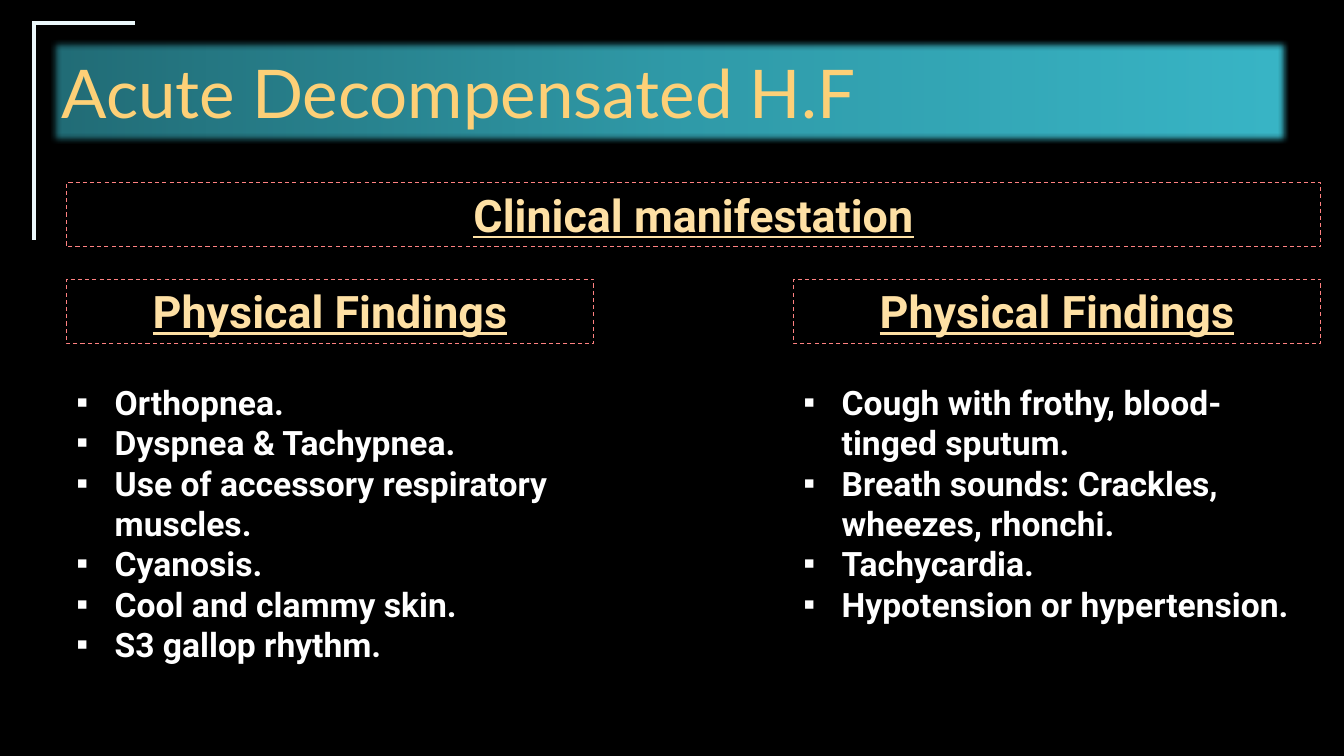
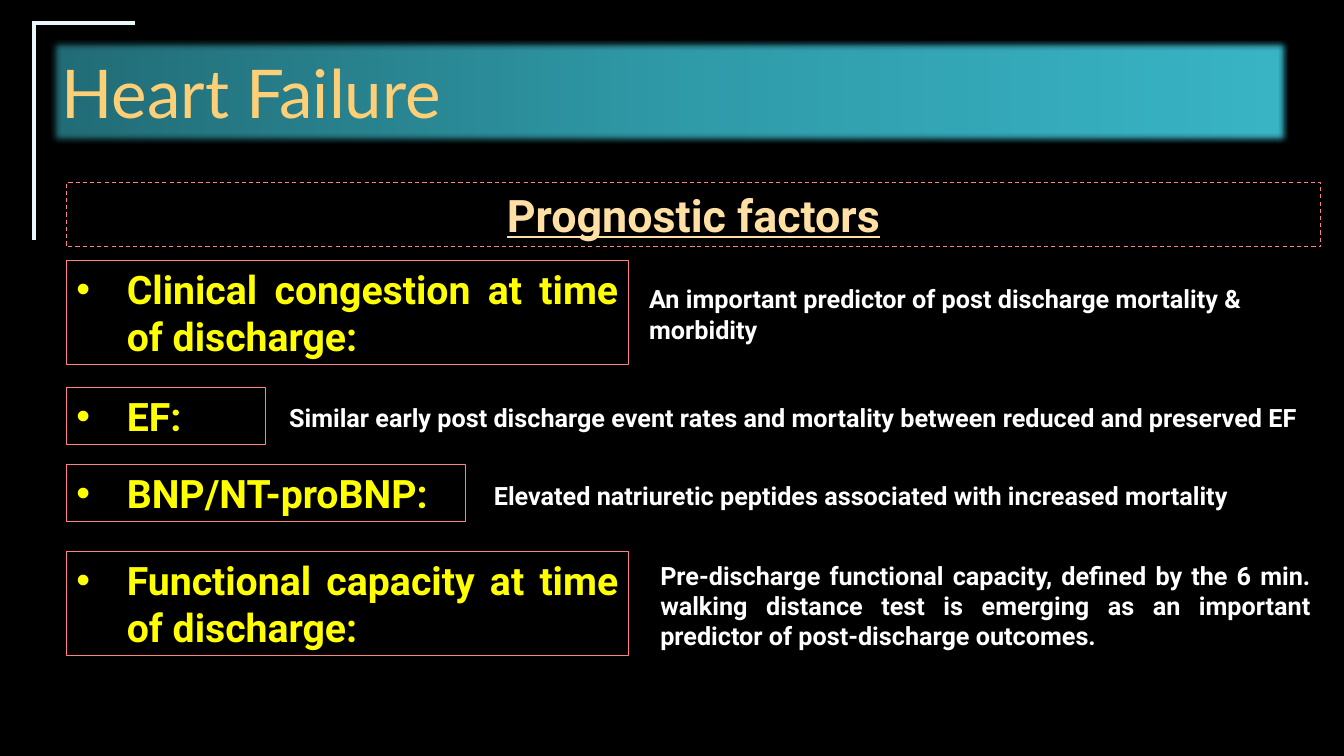
from copy import deepcopy
from dataclasses import dataclass

from pptx import Presentation
from pptx.dml.color import RGBColor
from pptx.enum.dml import MSO_LINE
from pptx.enum.shapes import MSO_CONNECTOR, MSO_SHAPE
from pptx.enum.text import MSO_ANCHOR, MSO_AUTO_SIZE, PP_ALIGN
from pptx.oxml.ns import qn
from pptx.util import Inches, Pt
from lxml import etree

RECT, STRAIGHT = MSO_SHAPE.RECTANGLE, MSO_CONNECTOR.STRAIGHT
LEFT, CENTER, JUSTIFY = PP_ALIGN.LEFT, PP_ALIGN.CENTER, PP_ALIGN.JUSTIFY
TOP, MIDDLE = MSO_ANCHOR.TOP, MSO_ANCHOR.MIDDLE
DASH, SOLID = MSO_LINE.DASH, MSO_LINE.SOLID


@dataclass(frozen=True)
class TextStyle:
    size: int
    color: str
    font: str = "Roboto"
    bold: bool = True
    underline: bool = False


@dataclass(frozen=True)
class Theme:
    background: str = "000000"
    corner: str = "EAF7FA"
    frame: str = "FF8181"
    band: tuple = ((0, "216B75"), (0.5, "2F99A7"), (1, "38B5C6"))
    band_line: str = "30818C"
    soft_edge: float = 5
    title: TextStyle = TextStyle(48, "FDD077", "Lato", False)
    heading: TextStyle = TextStyle(32, "FEE0A4", underline=True)
    label: TextStyle = TextStyle(28, "FFFF00")
    body: TextStyle = TextStyle(24, "FFFFFF")
    note: TextStyle = TextStyle(18, "FFFFFF")


THEME = Theme()

# Shared layout, in inches
SLIDE_W, SLIDE_H = 13.33, 7.5
MARGIN, RIGHT = 0.66, 13.1
CONTENT_W = RIGHT - MARGIN
COLUMN_W = 5.23
HEADING_H = 0.64
PAD = 0.1           # top and bottom insets together
LINE_SPACING = 1.2  # line height as a share of the type size
NOTE_DROP = 0.02    # notes sit slightly below the middle of their label


def rgb(value):
    return RGBColor.from_string(value)


def lines_height(count, style):
    return count * style.size * LINE_SPACING / 72 + PAD


def set_bullet(p, char, indent):
    pPr = p._p.get_or_add_pPr()
    pPr.set("marL", str(Inches(indent)))
    pPr.set("indent", str(Inches(-indent)))
    etree.SubElement(pPr, qn("a:buFont")).set("typeface", "Arial")
    etree.SubElement(pPr, qn("a:buChar")).set("char", char)


def write(tf, lines, style, align=LEFT, anchor=TOP, bullet=None):
    """Fill a text frame; bullet is a (character, indent) pair."""
    tf.word_wrap = True
    tf.auto_size = MSO_AUTO_SIZE.NONE
    tf.vertical_anchor = anchor
    for i, line in enumerate(lines):
        p = tf.add_paragraph() if i else tf.paragraphs[0]
        p.text = line
        p.alignment = align
        if bullet:
            set_bullet(p, *bullet)
        font = p.runs[0].font
        font.name, font.size = style.font, Pt(style.size)
        font.bold, font.underline = style.bold, style.underline
        font.color.rgb = rgb(style.color)


def add_text(shapes, box, lines, style, **options):
    tb = shapes.add_textbox(*map(Inches, box))
    write(tb.text_frame, lines, style, **options)


def add_frame(shapes, box, text, style, dash, **options):
    sp = shapes.add_shape(RECT, *map(Inches, box))
    sp.shadow.inherit = False
    sp.fill.background()
    sp.line.color.rgb = rgb(THEME.frame)
    sp.line.width = Pt(0.75)
    sp.line.dash_style = dash
    write(sp.text_frame, [text], style, **options)


def add_heading(s, box, text):
    add_frame(s.shapes, box, text, THEME.heading, DASH, align=CENTER)


def add_corner(s, left, top, width, height):
    """Two rules that meet at the top left of the slide."""
    axis = left + 0.02
    for ends in ((left, top, left + width, top), (axis, top, axis, top + height)):
        line = s.shapes.add_connector(STRAIGHT, *map(Inches, ends))
        line.line.color.rgb = rgb(THEME.corner)
        line.line.width = Pt(3)
        etree.SubElement(line._element.spPr, qn("a:effectLst"))


def format_title(title, box, text):
    """Gradient band with soft edges behind the title."""
    title.left, title.top, title.width, title.height = map(Inches, box)
    title.fill.gradient()
    title.fill.gradient_angle = 0
    spPr = title._element.spPr
    stops = spPr.find(".//" + qn("a:gsLst"))
    stops.insert(1, deepcopy(stops[0]))
    for stop, (position, color) in zip(title.fill.gradient_stops, THEME.band):
        stop.position = position
        stop.color.rgb = rgb(color)
    title.line.color.rgb = rgb(THEME.band_line)
    title.line.width = Pt(1)
    effects = etree.SubElement(spPr, qn("a:effectLst"))
    etree.SubElement(effects, qn("a:softEdge")).set("rad", str(Pt(THEME.soft_edge)))
    write(title.text_frame, [text], THEME.title, anchor=MIDDLE)


def new_slide(prs, title, heading):
    s = prs.slides.add_slide(prs.slide_layouts.get_by_name("Title Only"))
    add_corner(s, 0.32, 0.23, 1.02, 2.15)
    format_title(s.shapes.title, (0.51, 0.4, 12.26, 1.02), title)
    add_heading(s, (MARGIN, 1.81, CONTENT_W, HEADING_H), heading)
    return s


def add_findings(s, left, top, heading, items):
    """One column: framed heading above a bulleted list."""
    add_heading(s, (left, top, COLUMN_W, HEADING_H), heading)
    add_text(s.shapes, (left, top + 0.97, COLUMN_W, 2.93), items,
             THEME.body, bullet=("▪", 0.38))


def add_factor(s, top, label, label_w, label_lines, note, gap, note_lines, align):
    """One row: framed label with its note centred beside it."""
    shapes = s.shapes.add_group_shape().shapes
    label_h = lines_height(label_lines, THEME.label)
    note_h = lines_height(note_lines, THEME.note)
    add_frame(shapes, (MARGIN, top, label_w, label_h), label, THEME.label,
              SOLID, align=JUSTIFY, bullet=("•", 0.5))
    note_left = MARGIN + label_w + gap
    note_top = top + (label_h - note_h) / 2 + NOTE_DROP
    add_text(shapes, (note_left, note_top, RIGHT - note_left, note_h),
             [note], THEME.note, align=align)


def manifestation_slide(prs):
    s = new_slide(prs, "Acute Decompensated H.F", "Clinical manifestation")
    columns = (
        (MARGIN, ("Orthopnea.", "Dyspnea & Tachypnea.",
                  "Use of accessory respiratory muscles.", "Cyanosis.",
                  "Cool and clammy skin.", "S3 gallop rhythm.")),
        (RIGHT - COLUMN_W, ("Cough with frothy, blood-tinged sputum.",
                            "Breath sounds: Crackles, wheezes, rhonchi.",
                            "Tachycardia.", "Hypotension or hypertension.")),
    )
    for left, items in columns:
        add_findings(s, left, 2.77, "Physical Findings", items)


def prognosis_slide(prs):
    s = new_slide(prs, "Heart Failure", "Prognostic factors")
    # top, label, label width and lines, note, gap, note lines, alignment
    factors = (
        (2.58, "Clinical congestion at time of discharge:", 5.57, 2,
         "An important predictor of post discharge mortality & morbidity",
         0.11, 2, LEFT),
        (3.84, "EF:", 1.97, 1,
         "Similar early post discharge event rates and mortality between "
         "reduced and preserved EF", 0.14, 1, LEFT),
        (4.61, "BNP/NT-proBNP:", 3.96, 1,
         "Elevated natriuretic peptides associated with increased mortality",
         0.18, 1, LEFT),
        (5.47, "Functional capacity at time of discharge:", 5.57, 2,
         "Pre-discharge functional capacity, defined by the 6 min. walking "
         "distance test is emerging as an important predictor of "
         "post-discharge outcomes.", 0.22, 3, JUSTIFY),
    )
    for factor in factors:
        add_factor(s, *factor)


def main():
    prs = Presentation()
    prs.slide_width, prs.slide_height = Inches(SLIDE_W), Inches(SLIDE_H)
    fill = prs.slide_master.background.fill
    fill.solid()
    fill.fore_color.rgb = rgb(THEME.background)
    manifestation_slide(prs)
    prognosis_slide(prs)
    prs.save("out.pptx")


if __name__ == "__main__":
    main()
